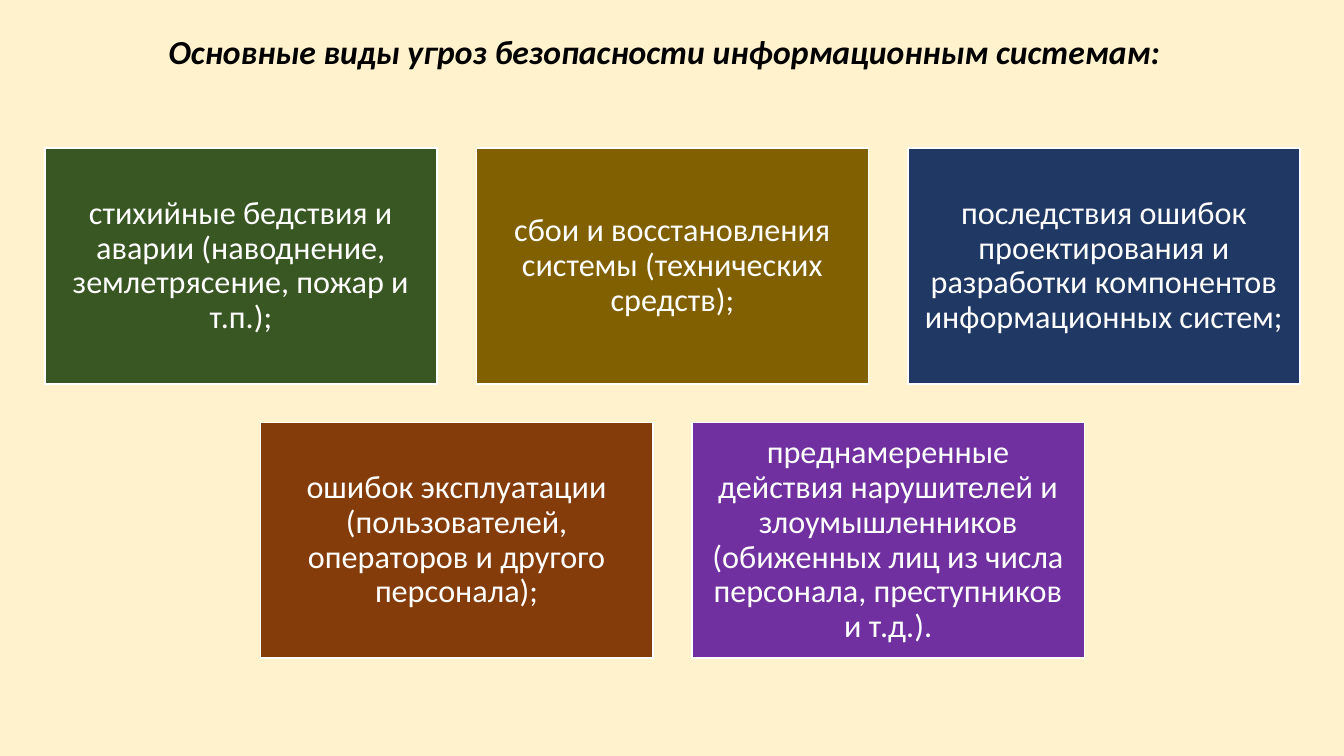
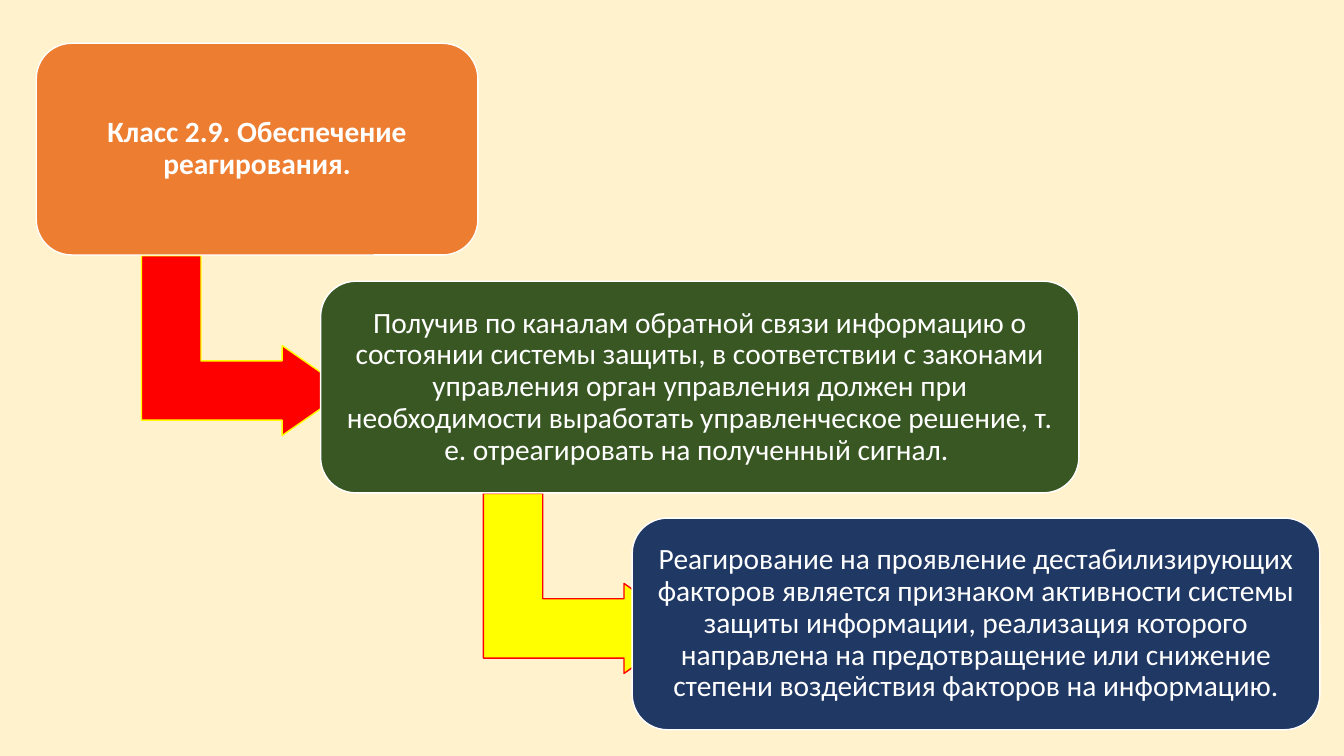
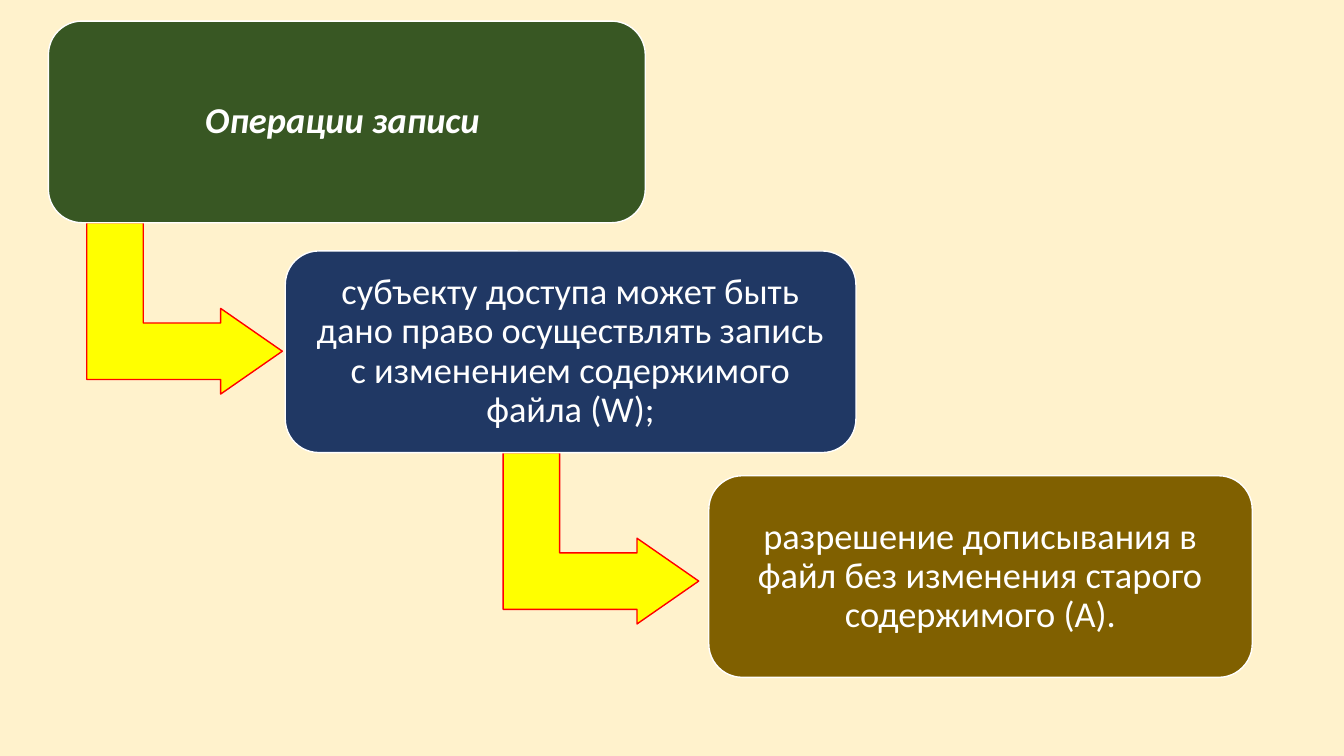
"""Build three slides on threats to information systems, response and write operations."""
from pptx import Presentation
from pptx.dml.color import RGBColor
from pptx.enum.shapes import MSO_SHAPE
from pptx.enum.text import MSO_ANCHOR, PP_ALIGN
from pptx.util import Pt

EMU_PER_PX = 9144
SLIDE_SIZE = (1333, 750)
FONT = "Calibri"

CREAM = RGBColor(0xFF, 0xF2, 0xCC)
BLACK = RGBColor(0x00, 0x00, 0x00)
WHITE = RGBColor(0xFF, 0xFF, 0xFF)
GREEN = RGBColor(0x38, 0x57, 0x23)
OLIVE = RGBColor(0x80, 0x60, 0x00)
NAVY = RGBColor(0x20, 0x38, 0x64)
BROWN = RGBColor(0x84, 0x3C, 0x0B)
PURPLE = RGBColor(0x70, 0x30, 0xA0)
ORANGE = RGBColor(0xED, 0x7D, 0x31)
RED = RGBColor(0xFF, 0x00, 0x00)
YELLOW = RGBColor(0xFF, 0xFF, 0x00)

THREATS_TITLE = "Основные виды угроз безопасности информационным системам:"
THREAT_ROWS = [
    [
        ("стихийные бедствия и аварии (наводнение, землетрясение, пожар и т.п.);", GREEN),
        ("сбои и восстановления системы (технических средств);", OLIVE),
        ("последствия ошибок проектирования и разработки компонентов "
         "информационных систем;", NAVY),
    ],
    [
        ("ошибок эксплуатации (пользователей, операторов и другого персонала);", BROWN),
        ("преднамеренные действия нарушителей и злоумышленников (обиженных лиц "
         "из числа персонала, преступников и т.д.).", PURPLE),
    ],
]
CARD_WIDTH, CARD_HEIGHT, CARD_GAP = 389, 234, 39
GRID_CENTER, GRID_TOP, ROW_PITCH = 667, 147, 272

STAIRCASES = [
    {
        "height": 210, "size": 21, "inset": 9, "heading": {"bold": True},
        "steps": [
            (36, 43, 438, ORANGE, "Класс 2.9. Обеспечение реагирования."),
            (318, 279, 752, GREEN,
             "Получив по каналам обратной связи информацию о состоянии системы защиты, "
             "в соответствии с законами управления орган управления должен при "
             "необходимости выработать управленческое решение, т. е. отреагировать "
             "на полученный сигнал. "),
            (627, 514, 682, NAVY,
             "Реагирование на проявление дестабилизирующих факторов является признаком "
             "активности системы защиты информации, реализация которого направлена на "
             "предотвращение или снижение степени воздействия факторов на информацию."),
        ],
        "arrows": [(153, RED, YELLOW), (492, YELLOW, RED)],
    },
    {
        "height": 200, "size": 26, "inset": 11, "heading": {"bold": True, "italic": True},
        "steps": [
            (48, 21, 592, GREEN, "Операции записи "),
            (283, 249, 566, NAVY,
             "субъекту доступа может быть дано право осуществлять запись с изменением "
             "содержимого файла (W);"),
            (703, 472, 539, OLIVE,
             "разрешение дописывания в файл без изменения старого содержимого (A)."),
        ],
        "arrows": [(98, YELLOW, RED), (511, YELLOW, RED)],
    },
]
ARROW_OVERLAP = 12
ARROW_ADJUSTMENTS = (0.33, 0.25, 0.36)


def px(length):
    return round(length * EMU_PER_PX)


def write_text(shape, text, size, color=WHITE, bold=False, italic=False, inset=None):
    frame = shape.text_frame
    frame.word_wrap = True
    frame.vertical_anchor = MSO_ANCHOR.MIDDLE
    if inset is not None:
        frame.margin_left = frame.margin_right = px(inset)
        frame.margin_top = frame.margin_bottom = px(inset)
    paragraph = frame.paragraphs[0]
    paragraph.alignment = PP_ALIGN.CENTER
    paragraph.line_spacing = 0.9
    run = paragraph.add_run()
    run.text = text
    run.font.name = FONT
    run.font.size = Pt(size)
    run.font.bold = bold
    run.font.italic = italic
    run.font.color.rgb = color


def add_block(slide, kind, left, top, width, height, fill, line=WHITE):
    shape = slide.shapes.add_shape(kind, px(left), px(top), px(width), px(height))
    shape.shadow.inherit = False
    shape.fill.solid()
    shape.fill.fore_color.rgb = fill
    shape.line.color.rgb = line
    shape.line.width = Pt(1)
    return shape


def add_threats_slide(presentation):
    slide = presentation.slides.add_slide(presentation.slide_layouts[5])
    title = slide.shapes.title
    title.left, title.top, title.width, title.height = map(px, (84, 26, 1150, 55))
    write_text(title, THREATS_TITLE, 24, color=BLACK, bold=True, italic=True)
    pitch = CARD_WIDTH + CARD_GAP
    for row_index, row in enumerate(THREAT_ROWS):
        row_left = GRID_CENTER - (len(row) * pitch - CARD_GAP) / 2
        for column_index, (text, fill) in enumerate(row):
            card = add_block(slide, MSO_SHAPE.RECTANGLE, row_left + column_index * pitch,
                             GRID_TOP + row_index * ROW_PITCH, CARD_WIDTH, CARD_HEIGHT, fill)
            write_text(card, text, 23, inset=10)


def add_staircase_slide(presentation, staircase):
    slide = presentation.slides.add_slide(presentation.slide_layouts[6])
    height = staircase["height"]
    for index, (left, top, width, fill, text) in enumerate(staircase["steps"]):
        if index < len(staircase["arrows"]):
            arrow_left, arrow_fill, arrow_line = staircase["arrows"][index]
            arrow = add_block(slide, MSO_SHAPE.BENT_UP_ARROW, arrow_left,
                              top + height - ARROW_OVERLAP, height * 0.85, height * 0.97,
                              arrow_fill, arrow_line)
            arrow.rotation = 90
            for position, value in enumerate(ARROW_ADJUSTMENTS):
                arrow.adjustments[position] = value
        step = add_block(slide, MSO_SHAPE.ROUNDED_RECTANGLE, left, top, width, height, fill)
        heading = staircase["heading"] if index == 0 else {}
        write_text(step, text, staircase["size"], inset=staircase["inset"], **heading)


def main():
    presentation = Presentation()
    presentation.slide_width, presentation.slide_height = map(px, SLIDE_SIZE)
    background = presentation.slide_master.background.fill
    background.solid()
    background.fore_color.rgb = CREAM
    add_threats_slide(presentation)
    for staircase in STAIRCASES:
        add_staircase_slide(presentation, staircase)
    presentation.save("out.pptx")


if __name__ == "__main__":
    main()
